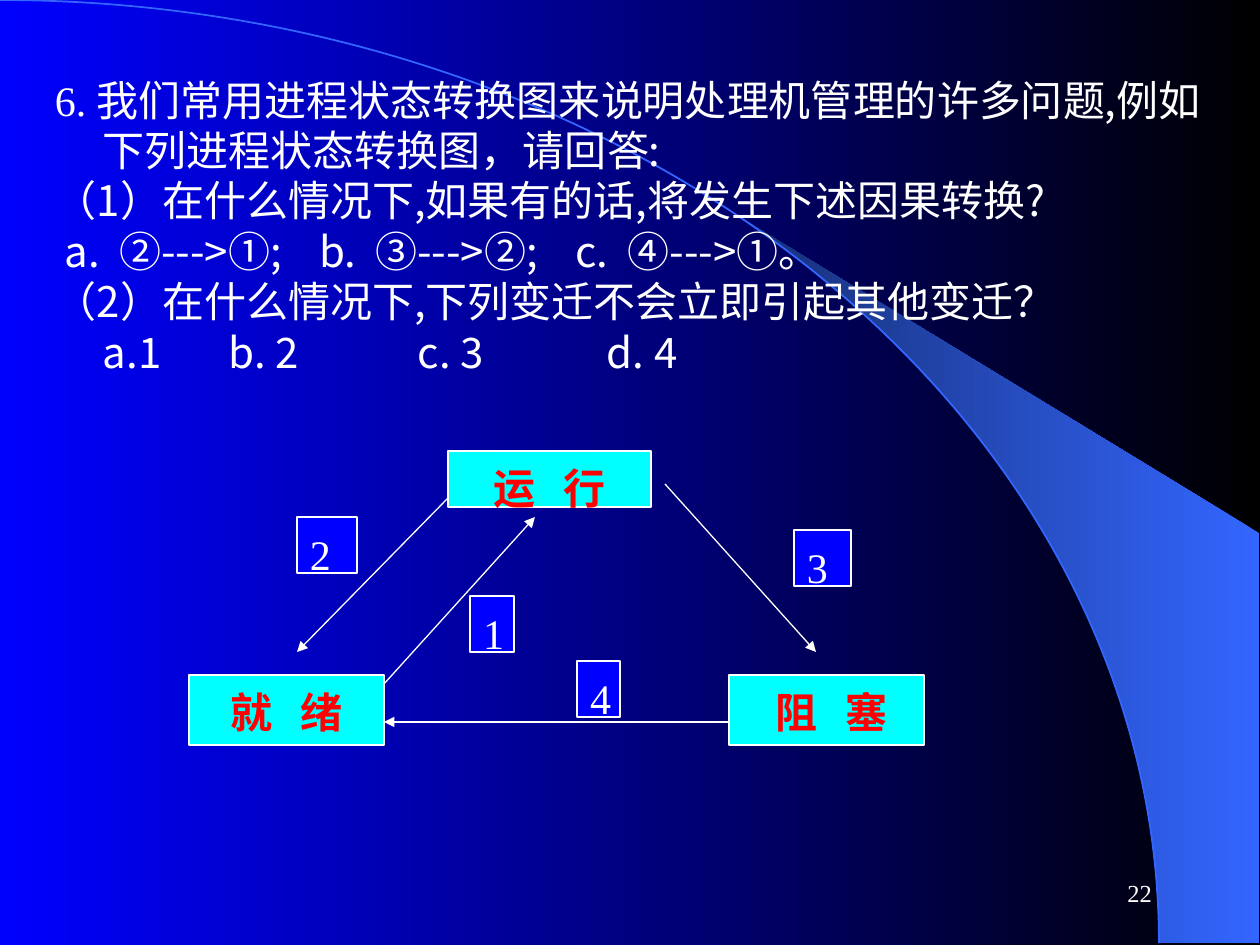
import math
from dataclasses import dataclass

from lxml import etree
from pptx import Presentation
from pptx.dml.color import RGBColor
from pptx.enum.shapes import MSO_CONNECTOR, MSO_SHAPE
from pptx.enum.text import MSO_ANCHOR, PP_ALIGN
from pptx.oxml.ns import qn
from pptx.util import Emu, Pt

RECTANGLE, ARC = MSO_SHAPE.RECTANGLE, MSO_SHAPE.ARC
STRAIGHT = MSO_CONNECTOR.STRAIGHT
TOP, MIDDLE = MSO_ANCHOR.TOP, MSO_ANCHOR.MIDDLE
LEFT, CENTER, RIGHT = PP_ALIGN.LEFT, PP_ALIGN.CENTER, PP_ALIGN.RIGHT
JUSTIFY = PP_ALIGN.JUSTIFY
PX_PER_INCH = 126
EMU_PER_PX = 914400 / PX_PER_INCH


@dataclass(frozen=True)
class Theme:
    serif: str = "Times New Roman"
    sans: str = "Noto Sans CJK SC"
    white: str = "FFFFFF"
    black: str = "000000"
    blue: str = "0000FF"
    cyan: str = "00FFFF"
    red: str = "FF0000"
    arc: str = "3366FF"
    beam_dark: str = "172F75"
    text_size: float = 24
    number_size: float = 14
    line_height: float = 28.8
    thin: float = 0.75


THEME = Theme()

# Ellipse behind the text: centred on the left edge of the page
RADIUS_X, RADIUS_Y = 1159, 943
PAGE_RIGHT = 1259


def px(value):
    return Emu(round(value * EMU_PER_PX))


def rgb(code):
    return RGBColor.from_string(code)


def set_gradient(fill, start, end):
    fill.gradient()
    fill.gradient_angle = 180
    for stop, code, position in zip(fill.gradient_stops, (start, end), (0, 1)):
        stop.color.rgb = rgb(code)
        stop.position = position


def set_line(line, code, width):
    line.color.rgb = rgb(code)
    line.width = Pt(width)


def set_frame(box, anchor=TOP, top=11, bottom=0, left=13):
    frame = box.text_frame
    frame.word_wrap = True
    frame.vertical_anchor = anchor
    frame.margin_left, frame.margin_right = px(left), px(13)
    frame.margin_top, frame.margin_bottom = px(top), px(bottom)
    return frame


def add_span(para, text, font, color, size=THEME.text_size, bold=False):
    span = para.add_run()
    span.text = text
    span.font.name = font
    span.font.size = Pt(size)
    span.font.bold = bold
    span.font.color.rgb = rgb(color)
    east_asian = etree.SubElement(span.font._element, qn("a:ea"))
    east_asian.set("typeface", THEME.sans)


def set_hanging(para, first_line):
    props = para._p.get_or_add_pPr()
    props.set("marL", str(px(48)))
    props.set("indent", str(px(first_line)))
    tabs = etree.SubElement(props, qn("a:tabLst"))
    for inch in range(8):
        etree.SubElement(tabs, qn("a:tab"), pos=str(px(inch * PX_PER_INCH)), algn="l")


def add_backdrop(page):
    set_gradient(page.background.fill, THEME.black, THEME.blue)

    # Light beam between the ellipse and the right edge
    steps = 24
    start = math.acos(742 / RADIUS_X)
    angles = [start * (1 - step / steps) for step in range(steps + 1)]
    edge = [(RADIUS_X * math.cos(a), RADIUS_Y * (1 - math.sin(a))) for a in angles]
    builder = page.shapes.build_freeform(px(PAGE_RIGHT), px(RADIUS_Y))
    outline = [(PAGE_RIGHT, 533)] + edge
    builder.add_line_segments([(px(x), px(y)) for x, y in outline], close=True)
    beam = builder.convert_to_shape()
    beam.shadow.inherit = False
    set_gradient(beam.fill, THEME.arc, THEME.beam_dark)
    beam.line.fill.background()

    arc = page.shapes.add_shape(
        ARC, px(-RADIUS_X), px(0), px(2 * RADIUS_X), px(2 * RADIUS_Y))
    arc.shadow.inherit = False
    arc.fill.background()
    set_line(arc.line, THEME.arc, 1)


def add_question(page, lines):
    box = page.shapes.add_textbox(px(42), px(63), px(1187), px(336))
    frame = set_frame(box)
    for index, (spans, align, first_line) in enumerate(lines):
        para = frame.paragraphs[0] if index == 0 else frame.add_paragraph()
        para.alignment = align
        para.line_spacing = Pt(THEME.line_height)
        set_hanging(para, first_line)
        for text, font in spans:
            add_span(para, text, font, THEME.white)


def add_box(page, bounds, text, fill, color, align, bold=False, left=13):
    box = page.shapes.add_shape(RECTANGLE, *map(px, bounds))
    box.shadow.inherit = False
    box.fill.solid()
    box.fill.fore_color.rgb = rgb(fill)
    set_line(box.line, THEME.white, THEME.thin)
    para = set_frame(box, left=left).paragraphs[0]
    para.alignment = align
    para.line_spacing = Pt(THEME.line_height)
    add_span(para, text, THEME.serif, color, bold=bold)


def add_arrow(page, start, end):
    arrow = page.shapes.add_connector(STRAIGHT, *map(px, start + end))
    set_line(arrow.line, THEME.white, THEME.thin)
    etree.SubElement(arrow.line._get_or_add_ln(), qn("a:tailEnd"), type="triangle")
    etree.SubElement(arrow._element.spPr, qn("a:effectLst"))


def add_page_number(page, number):
    box = page.shapes.add_textbox(px(903), px(861), px(262), px(63))
    para = set_frame(box, MIDDLE, top=6, bottom=6).paragraphs[0]
    para.alignment = RIGHT
    add_span(para, number, THEME.serif, THEME.white, THEME.number_size)


def main():
    deck = Presentation()
    deck.slide_width, deck.slide_height = px(1260), px(945)
    page = deck.slides.add_slide(deck.slide_layouts[6])
    add_backdrop(page)

    # Question text: spans, alignment, first-line indent
    sans = THEME.sans
    add_question(page, [
        ([("6. ", THEME.serif),
          ("我们常用进程状态转换图来说明处理机管理的许多问题,例如下列进程状态转换图，请回答:", sans)],
         LEFT, -48),
        ([("（1）在什么情况下,如果有的话,将发生下述因果转换?", sans)], JUSTIFY, -48),
        ([("a.  ②--->①;    b.  ③--->②;    c.  ④--->①。", sans)], JUSTIFY, -38),
        ([("（2）在什么情况下,下列变迁不会立即引起其他变迁？", sans)], JUSTIFY, -48),
        ([("\ta.1\t\tb. 2\t\tc. 3\t\td. 4", sans)], JUSTIFY, -48),
    ])

    # Process states
    for bounds, name, left in [
        ((448, 451, 203, 56), "运   行", 13),
        ((189, 675, 195, 70), "就   绪", 13),
        ((729, 675, 195, 70), "阻   塞", 23),
    ]:
        add_box(page, bounds, name, THEME.cyan, THEME.red, CENTER, True, left)

    # Transitions
    for start, end in [
        ((384, 684), (535, 517)),
        ((448, 498), (297, 652)),
        ((665, 484), (816, 652)),
        ((729, 722), (384, 722)),
    ]:
        add_arrow(page, start, end)

    # Transition numbers
    for label, x, y, width in [
        ("1", 470, 596, 44),
        ("2", 297, 517, 60),
        ("3", 794, 530, 57),
        ("4", 577, 661, 43),
    ]:
        add_box(page, (x, y, width, 56), label, THEME.blue, THEME.white, JUSTIFY)

    add_page_number(page, "22")
    deck.save("out.pptx")


if __name__ == "__main__":
    main()
